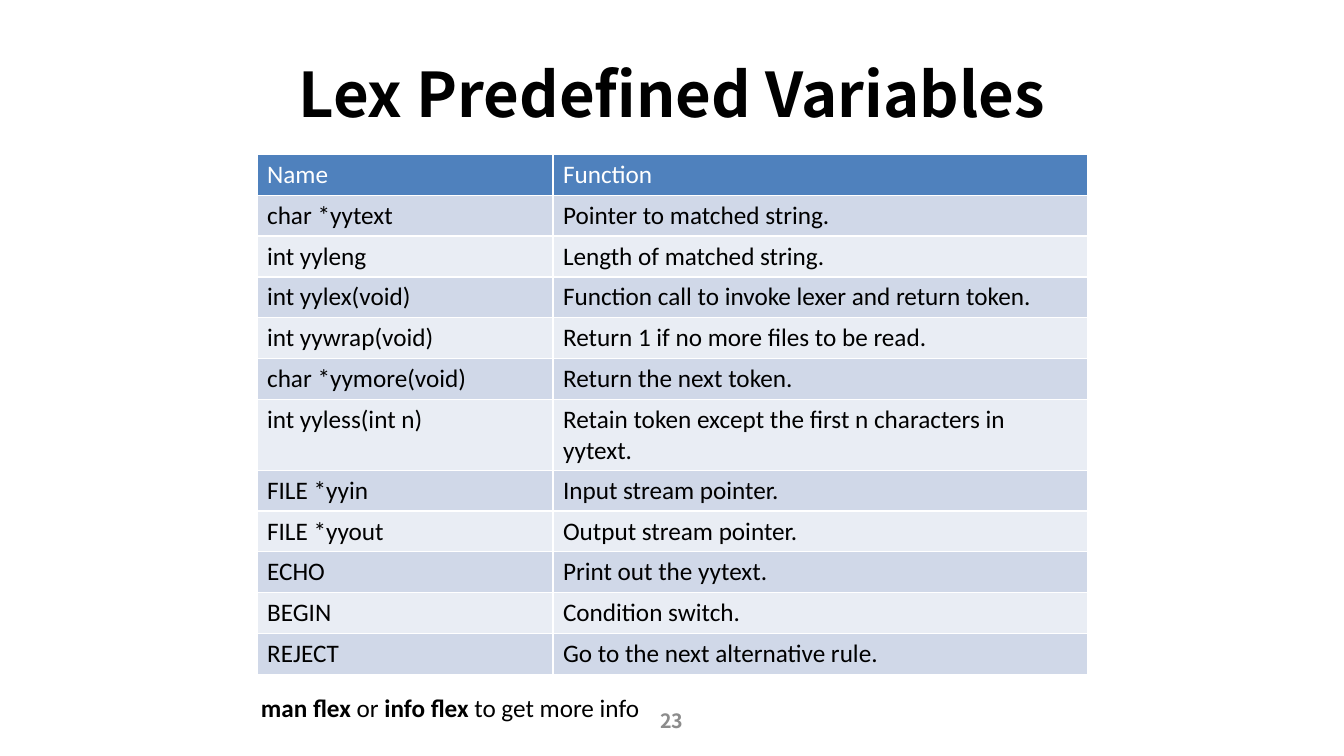
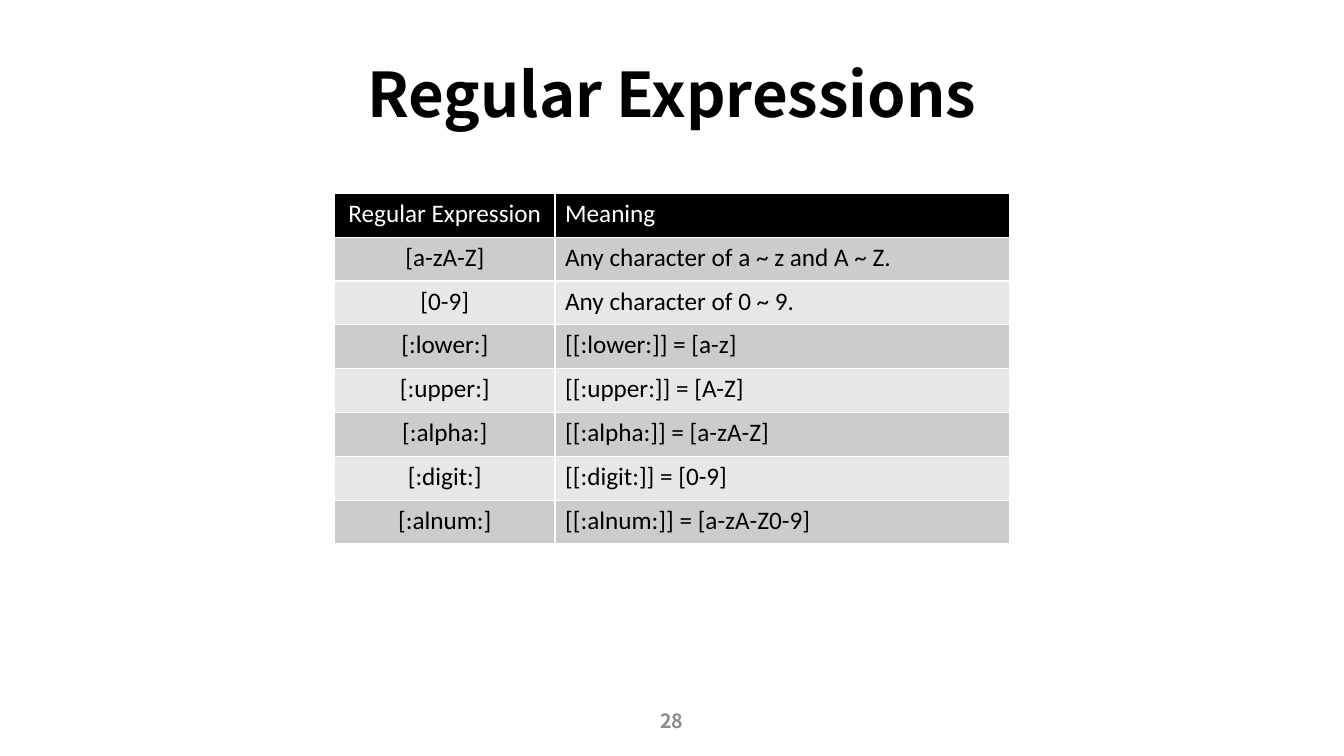
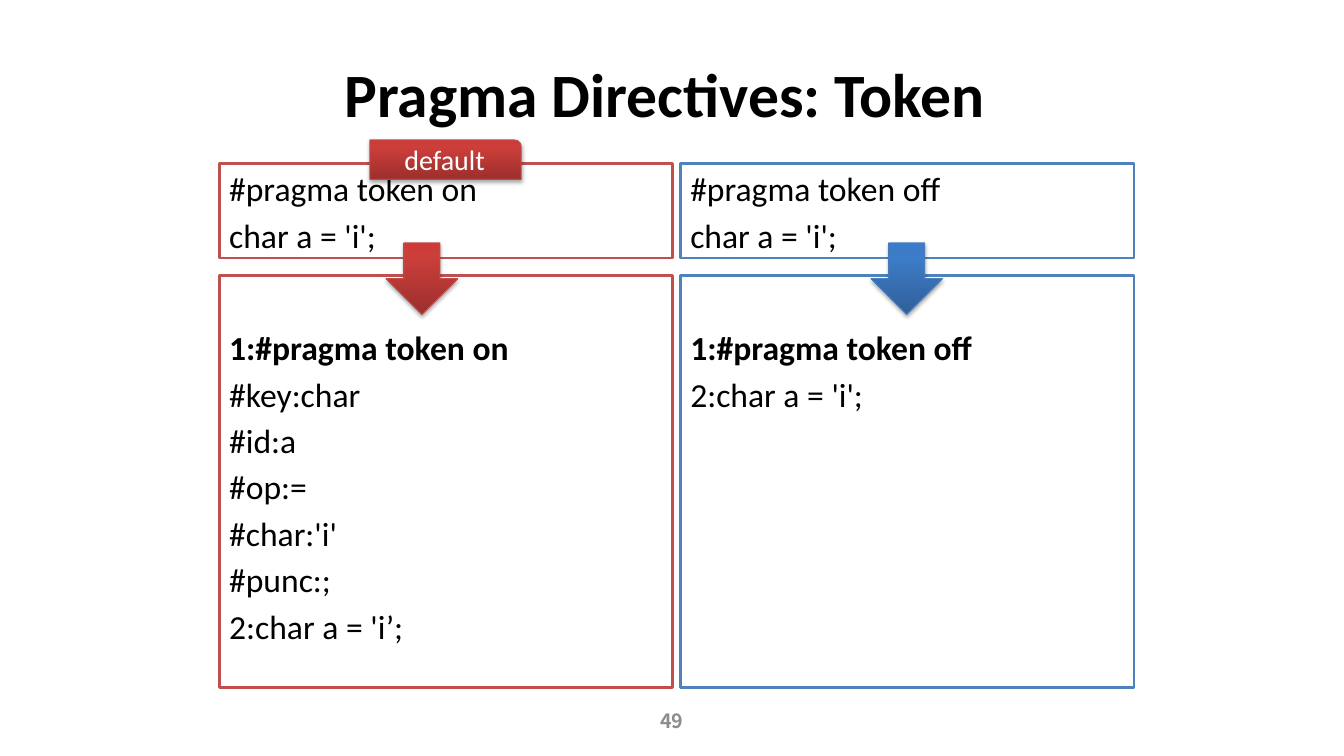
from dataclasses import dataclass

from lxml.etree import SubElement
from pptx import Presentation
from pptx.dml.color import RGBColor
from pptx.enum.shapes import MSO_SHAPE as SHAPE
from pptx.enum.text import MSO_ANCHOR as ANCHOR, MSO_AUTO_SIZE as AUTO, PP_ALIGN as ALIGN
from pptx.oxml.ns import qn
from pptx.util import Pt

BODY_FONT = "Calibri"
HEAD_FONT = "Noto Sans CJK SC"
BLACK, WHITE, GREY = "000000", "FFFFFF", "8C8C8C"
BOX_W = 324


@dataclass(frozen=True)
class TableStyle:
    """Place, sizes and colours of a two-column table."""
    left: float
    top: float
    widths: tuple[float, float]
    row_h: float
    header: str
    bands: tuple[str, str]
    first_align: ALIGN


@dataclass(frozen=True)
class Theme:
    """Outline and gradient colours of one pragma column."""
    border: str
    edge: str
    stops: tuple[str, str, str]


@dataclass(frozen=True)
class Example:
    """A pragma column: its input code and the listing it gives."""
    left: float
    arrow_left: float
    theme: Theme
    source: tuple[str, ...]
    listing: tuple[str, ...]


RED = Theme("C0504D", "BF4C48", ("9C2F2D", "CB3E3A", "CE3B37"))
BLUE = Theme("4F81BD", "4B7EBC", ("2F5F99", "3D7CC7", "3A7CCB"))

VARIABLES_STYLE = TableStyle(183.6, 110.2, (211.4, 382.1), 29.2, "4F81BD",
                             ("D0D8E8", "E9EDF4"), ALIGN.LEFT)
VARIABLES = (
    ("Name", "Function"),
    ("char *yytext", "Pointer to matched string."),
    ("int yyleng", "Length of matched string."),
    ("int yylex(void)", "Function call to invoke lexer and return token."),
    ("int yywrap(void)", "Return 1 if no more files to be read."),
    ("char *yymore(void)", "Return the next token."),
    ("int yyless(int n)", "Retain token except the first n characters in yytext."),
    ("FILE *yyin", "Input stream pointer."),
    ("FILE *yyout", "Output stream pointer."),
    ("ECHO", "Print out the yytext."),
    ("BEGIN", "Condition switch."),
    ("REJECT", "Go to the next alternative rule."),
)

EXPRESSIONS_STYLE = TableStyle(239, 138.2, (157.5, 324.5), 31.3, BLACK,
                               ("CCCCCC", "E7E7E7"), ALIGN.CENTER)
EXPRESSIONS = (
    ("Regular Expression", "Meaning"),
    ("[a-zA-Z]", "Any character of a ~ z and A ~ Z."),
    ("[0-9]", "Any character of 0 ~ 9."),
    ("[:lower:]", "[[:lower:]] = [a-z]"),
    ("[:upper:]", "[[:upper:]] = [A-Z]"),
    ("[:alpha:]", "[[:alpha:]] = [a-zA-Z]"),
    ("[:digit:]", "[[:digit:]] = [0-9]"),
    ("[:alnum:]", "[[:alnum:]] = [a-zA-Z0-9]"),
)

EXAMPLES = (
    Example(156.6, 275.8, RED, ("#pragma token on", "char a = 'i';"),
            ("1:#pragma token on", "#key:char", "#id:a", "#op:=", "#char:'i'",
             "#punc:;", "2:char a = 'i’;")),
    Example(486, 622.1, BLUE, ("#pragma token off", "char a = 'i';"),
            ("1:#pragma token off", "2:char a = 'i';")),
)


def rgb(color: str) -> RGBColor:
    """Turn a hex string into a colour."""
    return RGBColor.from_string(color)


def format_paragraph(p, size: float, color: str = BLACK, font: str = BODY_FONT,
                     bold: bool | None = False, align: ALIGN = ALIGN.LEFT) -> None:
    """Set the font and alignment of a whole paragraph."""
    p.alignment = align
    p.font.name, p.font.size, p.font.bold = font, Pt(size), bold
    p.font.color.rgb = rgb(color)


def add_slide(prs, title: str, number: str, font: str = HEAD_FONT):
    """Add a title-only slide with its title and page number."""
    s = prs.slides.add_slide(prs.slide_layouts[5])
    sp = s.shapes.title
    sp.left, sp.top, sp.width, sp.height = Pt(48), Pt(21.6), Pt(864), Pt(90)
    tf = sp.text_frame
    tf.text, tf.auto_size, tf.vertical_anchor = title, AUTO.NONE, ANCHOR.MIDDLE
    format_paragraph(tf.paragraphs[0], 44, font=font, bold=True, align=ALIGN.CENTER)
    tf = s.shapes.add_textbox(Pt(368), Pt(500.4), Pt(224), Pt(28.8)).text_frame
    tf.text, tf.word_wrap, tf.vertical_anchor = number, True, ANCHOR.MIDDLE
    format_paragraph(tf.paragraphs[0], 14, GREY, HEAD_FONT, True, ALIGN.CENTER)
    return s


def add_borders(cell) -> None:
    """Give a cell thin white borders on all sides."""
    tc_pr = cell._tc.get_or_add_tcPr()
    for side in ("a:lnL", "a:lnR", "a:lnT", "a:lnB"):
        ln = SubElement(tc_pr, qn(side), w=str(Pt(1)))
        SubElement(SubElement(ln, qn("a:solidFill")), qn("a:srgbClr"), val=WHITE)


def add_banded_table(s, style: TableStyle, rows: tuple[tuple[str, str], ...]) -> None:
    """Draw a table with a header row and alternating bands."""
    table = s.shapes.add_table(len(rows), 2, Pt(style.left), Pt(style.top),
                               Pt(sum(style.widths)), Pt(style.row_h * len(rows))).table
    for column, width in zip(table.columns, style.widths):
        column.width = Pt(width)
    for i, row in enumerate(rows):
        table.rows[i].height = Pt(style.row_h)
        fill = style.bands[(i - 1) % 2] if i else style.header
        for j, text in enumerate(row):
            cell = table.cell(i, j)
            add_borders(cell)
            cell.fill.solid()
            cell.fill.fore_color.rgb = rgb(fill)
            cell.text = text
            format_paragraph(cell.text_frame.paragraphs[0], 18, BLACK if i else WHITE,
                             align=ALIGN.LEFT if j else style.first_align)


def add_code_box(s, left: float, top: float, height: float, border: str,
                 lines: tuple[str, ...], margin_top: float = 3.6,
                 bold_first: bool = False) -> None:
    """Draw an outlined white box holding lines of code."""
    sp = s.shapes.add_shape(SHAPE.RECTANGLE, Pt(left), Pt(top), Pt(BOX_W), Pt(height))
    sp.shadow.inherit = False
    sp.fill.solid()
    sp.fill.fore_color.rgb = rgb(WHITE)
    sp.line.color.rgb, sp.line.width = rgb(border), Pt(2)
    tf = sp.text_frame
    tf.text = "\n".join(lines)
    tf.vertical_anchor, tf.margin_top = ANCHOR.TOP, Pt(margin_top)
    for i, p in enumerate(tf.paragraphs):
        format_paragraph(p, 24, bold=bold_first and i == 0)
        p.space_before = Pt(4.3 if i else 0)


def add_glossy_shape(s, kind: SHAPE, left: float, top: float, width: float,
                     height: float, theme: Theme):
    """Draw a shape with a vertical gradient and a soft shadow."""
    sp = s.shapes.add_shape(kind, Pt(left), Pt(top), Pt(width), Pt(height))
    sp.line.color.rgb, sp.line.width = rgb(theme.edge), Pt(0.75)
    sp.fill.gradient()
    sp.fill.gradient_angle = 90
    sp.shadow.inherit = False
    sp_pr = sp._element.spPr
    stops = sp_pr.find(".//" + qn("a:gsLst"))
    stops.clear()
    for pos, color in zip((0, 80, 100), theme.stops):
        gs = SubElement(stops, qn("a:gs"), pos=str(pos * 1000))
        SubElement(gs, qn("a:srgbClr"), val=color)
    shadow = SubElement(sp_pr.find(qn("a:effectLst")), qn("a:outerShdw"),
                        blurRad=str(Pt(3.1)), dist=str(Pt(1.8)), dir="5400000",
                        rotWithShape="0")
    SubElement(SubElement(shadow, qn("a:srgbClr"), val=BLACK), qn("a:alpha"), val="35000")
    return sp


def add_variables_slide(prs) -> None:
    """Build the slide on predefined variables."""
    s = add_slide(prs, "Lex Predefined Variables", "23")
    add_banded_table(s, VARIABLES_STYLE, VARIABLES)
    tf = s.shapes.add_textbox(Pt(179.3), Pt(491), Pt(289.4), Pt(29)).text_frame
    tf.word_wrap = False
    p = tf.paragraphs[0]
    format_paragraph(p, 18, bold=None)
    for text, bold in (("man flex ", True), ("or ", False),
                       ("info flex ", True), ("to get more info", False)):
        r = p.add_run()
        r.text, r.font.bold = text, bold


def add_expressions_slide(prs) -> None:
    """Build the slide on regular expressions."""
    s = add_slide(prs, "Regular Expressions", "28")
    add_banded_table(s, EXPRESSIONS_STYLE, EXPRESSIONS)


def add_pragma_slide(prs) -> None:
    """Build the slide on the token pragma."""
    s = add_slide(prs, "Pragma Directives: Token ", "49", BODY_FONT)
    for ex in EXAMPLES:
        add_code_box(s, ex.left, 116.6, 67.7, ex.theme.border, ex.source)
        add_code_box(s, ex.left, 196.6, 294.5, ex.theme.border, ex.listing, 37.2, True)
        add_glossy_shape(s, SHAPE.DOWN_ARROW, ex.arrow_left, 173.5, 51.1, 51.1, ex.theme)
    tag = add_glossy_shape(s, SHAPE.ROUND_1_RECTANGLE, 264.3, 100, 108, 28.1, RED)
    tf = tag.text_frame
    tf.text, tf.vertical_anchor = "default", ANCHOR.MIDDLE
    format_paragraph(tf.paragraphs[0], 20, WHITE, align=ALIGN.CENTER)


def main() -> None:
    """Build the presentation and save it."""
    prs = Presentation()
    prs.slide_width, prs.slide_height = Pt(960), Pt(540)
    add_variables_slide(prs)
    add_expressions_slide(prs)
    add_pragma_slide(prs)
    prs.save("out.pptx")


if __name__ == "__main__":
    main()
